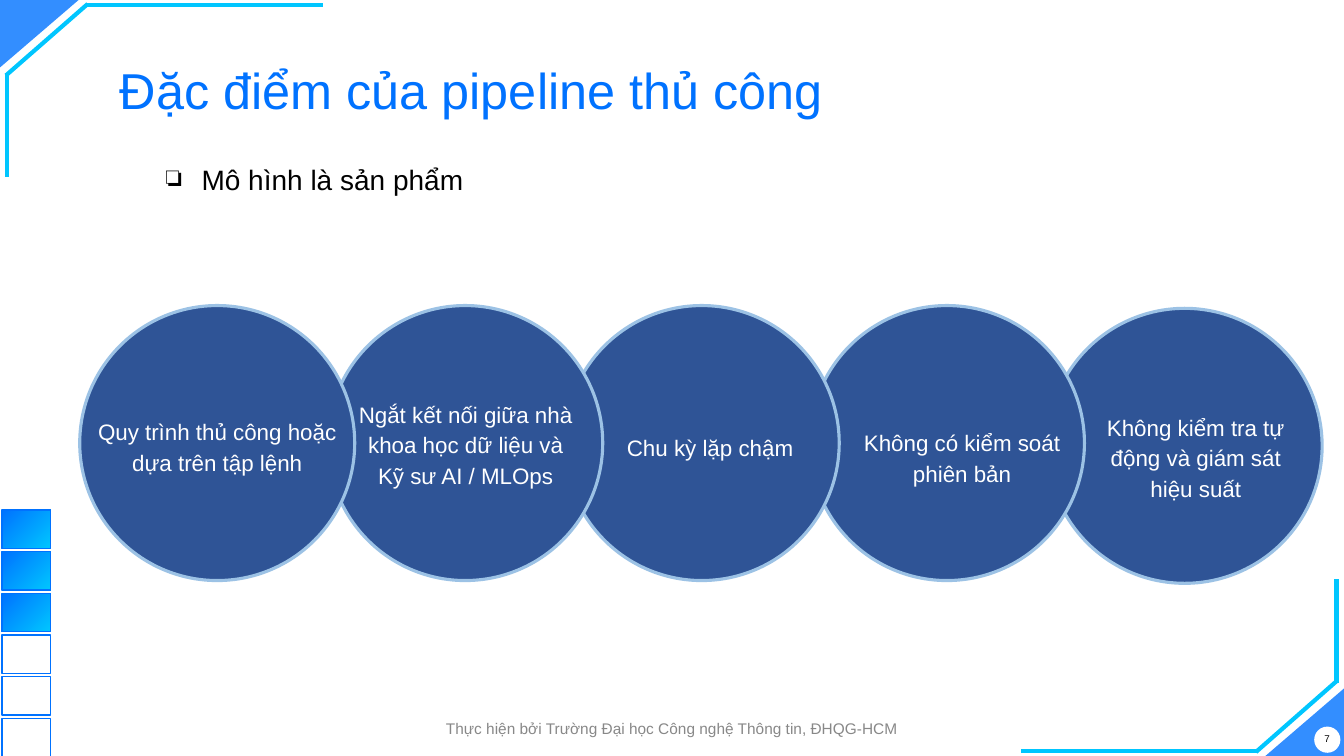
import pptx
import pptx.dml.color
import pptx.enum.shapes
import pptx.enum.text
import pptx.oxml.ns
import pptx.util

Cm, Pt = pptx.util.Cm, pptx.util.Pt
SHAPE = pptx.enum.shapes.MSO_SHAPE
ALIGN = pptx.enum.text.PP_ALIGN
ANCHOR = pptx.enum.text.MSO_ANCHOR
qn = pptx.oxml.ns.qn

BLUE, CYAN, NAVY, PALE = "0072FF", "00C6FF", "2F5496", "9CC2E5"
WHITE, BLACK, GREY = "FFFFFF", "000000", "888888"
WIDTH, HEIGHT = 33.87, 19.05


def rgb(value):
    return pptx.dml.color.RGBColor.from_string(value)


def add_child(parent, tag, **attributes):
    parent.append(parent.makeelement(qn(tag), attributes))


class SlideBuilder:
    """Holds the font and the slide; every length is in centimetres."""

    def __init__(self, slide, font="Arial"):
        self.slide = slide
        self.font = font

    def shape(self, kind, left, top, width, height, fill=None, line=None, weight=1):
        """Draw a preset shape; a pair of fill colours makes a diagonal gradient."""
        shape = self.slide.shapes.add_shape(kind, Cm(left), Cm(top), Cm(width), Cm(height))
        shape.shadow.inherit = False
        if isinstance(fill, tuple):
            shape.fill.gradient()
            shape.fill.gradient_angle = 315
            for stop, color in zip(shape.fill.gradient_stops, fill):
                stop.color.rgb = rgb(color)
        elif fill:
            shape.fill.solid()
            shape.fill.fore_color.rgb = rgb(fill)
        else:
            shape.fill.background()
        if line:
            shape.line.color.rgb = rgb(line)
            shape.line.width = Pt(weight)
        else:
            shape.line.fill.background()
        return shape

    def corner(self, left, top, rotation):
        """Draw a translucent right-angled triangle in a slide corner."""
        triangle = self.shape(SHAPE.ISOSCELES_TRIANGLE, left, top, 1.98, 1.7, BLUE)
        triangle.adjustments[0] = 1
        triangle.rotation = rotation
        add_child(triangle._element.spPr.find(".//" + qn("a:srgbClr")), "a:alpha", val="80000")

    def line(self, x1, y1, x2, y2):
        line = self.slide.shapes.add_connector(
            pptx.enum.shapes.MSO_CONNECTOR.STRAIGHT, Cm(x1), Cm(y1), Cm(x2), Cm(y2))
        line.line.color.rgb = rgb(CYAN)
        line.line.width = Pt(3)
        add_child(line._element.spPr, "a:effectLst")

    def fill_frame(self, frame, text, size, color, align, anchor, inset, spacing=1.0):
        """Set and format the text of a frame; inset is (horizontal, vertical)."""
        frame.word_wrap = True
        frame.auto_size = pptx.enum.text.MSO_AUTO_SIZE.NONE
        frame.vertical_anchor = anchor
        frame.margin_left = frame.margin_right = Cm(inset[0])
        frame.margin_top = frame.margin_bottom = Cm(inset[1])
        frame.text = text
        paragraph = frame.paragraphs[0]
        paragraph.alignment = align
        paragraph.line_spacing = spacing
        font = paragraph.runs[0].font
        font.name, font.size, font.color.rgb = self.font, Pt(size), rgb(color)
        return paragraph

    def text(self, left, top, width, height, text, size, color, align=ALIGN.CENTER,
             anchor=ANCHOR.MIDDLE, inset=(0.25, 0.25), spacing=1.0):
        box = self.slide.shapes.add_textbox(Cm(left), Cm(top), Cm(width), Cm(height))
        return self.fill_frame(box.text_frame, text, size, color, align, anchor, inset, spacing)

    def title(self, left, top, width, height, text):
        title = self.slide.shapes.title
        title.left, title.top, title.width, title.height = map(Cm, (left, top, width, height))
        self.fill_frame(title.text_frame, text, 36, BLUE, ALIGN.LEFT, ANCHOR.TOP, (0.25, 0.25))

    def bullet(self, left, top, width, height, text):
        paragraph = self.text(left, top, width, height, text, 20, BLACK, ALIGN.LEFT,
                              ANCHOR.TOP, spacing=1.15)
        properties = paragraph._p.get_or_add_pPr()
        properties.set("marL", str(int(Cm(1.27))))
        properties.set("indent", str(-int(Cm(0.89))))
        add_child(properties, "a:buChar", char="❏")


def main():
    deck = pptx.Presentation()
    deck.slide_width, deck.slide_height = Cm(WIDTH), Cm(HEIGHT)
    page = SlideBuilder(deck.slides.add_slide(deck.slide_layouts[5]))

    page.corner(0, 0, 180)
    page.corner(WIDTH - 1.98, HEIGHT - 1.7, 0)
    for ends in [
        (8.13, 0.13, 2.16, 0.13), (2.21, 0.1, 0.15, 1.9), (0.18, 4.45, 0.18, 1.85),
        (25.73, 18.92, 31.7, 18.92), (31.65, 18.95, 33.7, 17.15), (33.68, 14.6, 33.68, 17.2),
    ]:
        page.line(*ends)

    steps, steps_done = 6, 3
    for step in range(steps):
        fill = (BLUE, CYAN) if step < steps_done else None
        page.shape(SHAPE.RECTANGLE, 0.05, 12.85 + 1.05 * step, 1.22, 0.97, fill, BLUE)

    page.title(2.77, 1.24, 23.67, 1.6, "Đặc điểm của pipeline thủ công")
    page.bullet(3.56, 3.73, 24.05, 1.9, "Mô hình là sản phẩm")

    # Right to left, so that each circle overlaps the next one:
    # circle left and top, caption box, caption
    traits = [
        (26.39, 7.77, (27.53, 9.75, 5.21, 3.48), "Không kiểm tra tự động và giám sát hiệu suất"),
        (20.4, 7.7, (21.36, 10.52, 5.77, 1.96), "Không có kiểm soát phiên bản"),
        (14.22, 7.7, (14.81, 10.26, 6.17, 1.96), "Chu kỳ lặp chậm"),
        (8.26, 7.7, (8.71, 8.74, 6.05, 4.85),
         "Ngắt kết nối giữa nhà khoa học dữ liệu và Kỹ sư AI / MLOps"),
        (2.01, 7.7, (1.98, 9.98, 6.99, 2.46), "Quy trình thủ công hoặc dựa trên tập lệnh"),
    ]
    for left, top, caption_box, caption in traits:
        page.shape(SHAPE.OVAL, left, top, 6.93, 6.93, NAVY, PALE, 2.25)
        page.text(*caption_box, caption, 16, WHITE, spacing=1.15)

    page.shape(SHAPE.OVAL, 33.12, 18.31, 0.66, 0.66, WHITE)
    page.text(33.04, 18.21, 0.81, 0.81, "7", 7, BLACK, inset=(0.3, 0.3))
    page.text(10.13, 17.98, 13.61, 0.74,
              "Thực hiện bởi Trường Đại học Công nghệ Thông tin, ĐHQG-HCM",
              11, GREY, inset=(0.25, 0.13))
    deck.save("out.pptx")


if __name__ == "__main__":
    main()
